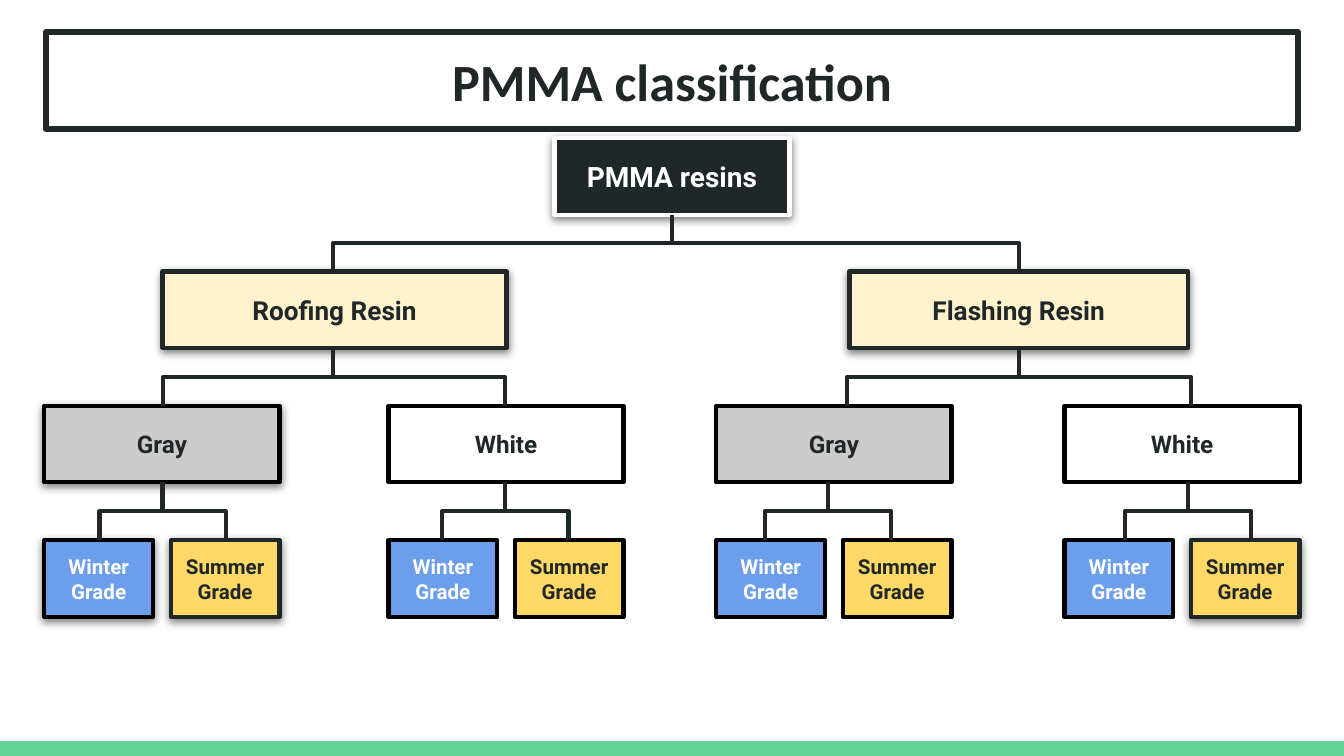
import pptx
import pptx.util
import pptx.dml.color
import pptx.enum.shapes
import pptx.enum.text
from lxml import etree
from pptx.oxml.ns import qn

WIDTH, HEIGHT = 10, 5.625
COLORS = {
    "ink": "202729", "black": "000000", "white": "FFFFFF", "cream": "FFF2CC",
    "gray": "CCCCCC", "blue": "6D9EEB", "yellow": "FFD966", "green": "63D297",
}
ROWS = (1.03, 2.02, 3.02, 4.02)     # tops of the four tree levels
BOX_W, BOX_H = 1.75, 0.57
GRADE_W, GRADE_STEP = 0.81, 0.94
ROOT_X = WIDTH / 2

# Resin: name, left, width, joint x, its colour groups
# Colour group: name, fill, left, upper joint x, lower joint x, raised parts
RESINS = [
    ("Roofing Resin", 1.21, 2.56, 2.48, [
        ("Gray", "gray", 0.33, 1.21, 1.21, {"Gray", "Winter", "Summer"}),
        ("White", "white", 2.89, 3.76, 3.76, set()),
    ]),
    ("Flashing Resin", 6.32, 2.52, 7.58, [
        ("Gray", "gray", 5.33, 6.30, 6.16, set()),
        ("White", "white", 7.92, 8.86, 8.84, {"Summer"}),
    ]),
]


def inches(*values):
    return [pptx.util.Inches(v) for v in values]


def rgb(name):
    return pptx.dml.color.RGBColor.from_string(COLORS[name])


def add_shadow(s):
    effects = s._element.spPr.find(qn("a:effectLst"))
    shadow = etree.SubElement(
        effects, qn("a:outerShdw"), blurRad=str(pptx.util.Pt(4.5)),
        dist=str(pptx.util.Pt(1.5)), dir="5400000", algn="bl", rotWithShape="0")
    color = etree.SubElement(shadow, qn("a:srgbClr"), val=COLORS["black"])
    etree.SubElement(color, qn("a:alpha"), val="50000")


def style_line(line, color, width=2.25):
    line.color.rgb = rgb(color)
    line.width = pptx.util.Pt(width)
    etree.SubElement(line._get_or_add_ln(), qn("a:round"))


def set_text(s, text, size, color="ink", font="Roboto"):
    tf = s.text_frame
    tf.word_wrap = True
    tf.auto_size = pptx.enum.text.MSO_AUTO_SIZE.NONE
    tf.vertical_anchor = pptx.enum.text.MSO_ANCHOR.MIDDLE
    tf.margin_left = tf.margin_right = pptx.util.Inches(0.1)
    tf.margin_top = tf.margin_bottom = pptx.util.Inches(0.1)
    p = tf.paragraphs[0]
    p.alignment = pptx.enum.text.PP_ALIGN.CENTER
    r = p.add_run()
    r.text = text
    r.font.name, r.font.size, r.font.bold = font, pptx.util.Pt(size), True
    r.font.color.rgb = rgb(color)


def add_rect(slide, left, top, width, height, fill):
    s = slide.shapes.add_shape(
        pptx.enum.shapes.MSO_SHAPE.RECTANGLE, *inches(left, top, width, height))
    s.shadow.inherit = False
    s.fill.solid()
    s.fill.fore_color.rgb = rgb(fill)
    s.line.fill.background()
    return s


def add_box(slide, text, left, row, width, fill, size, color="ink",
            line="black", raised=False):
    s = add_rect(slide, left, ROWS[row], width, BOX_H, fill)
    style_line(s.line, line)
    set_text(s, text, size, color)
    if raised:
        add_shadow(s)


def add_branch(slide, x1, x2, row):
    """Elbow from the foot of a box in this row to the top of one below."""
    y1, y2 = ROWS[row] + BOX_H, ROWS[row + 1]
    x, y, dx, dy = (x1 + x2) / 2, (y1 + y2) / 2, x2 - x1, y2 - y1
    # Laid out on its side, then turned a quarter so it leaves downwards
    c = slide.shapes.add_connector(
        pptx.enum.shapes.MSO_CONNECTOR.ELBOW,
        *inches(x - dy / 2, y + dx / 2, x + dy / 2, y - dx / 2))
    c._element.spPr.find(qn("a:xfrm")).set("rot", "5400000")
    style_line(c.line, "ink")
    etree.SubElement(c._element.spPr, qn("a:effectLst"))


def add_title(slide, text):
    s = slide.shapes.title
    s.left, s.top, s.width, s.height = inches(0.34, 0.24, 9.32, 0.72)
    s.fill.solid()
    s.fill.fore_color.rgb = rgb("white")
    style_line(s.line, "ink", 3)
    set_text(s, text, 28, font="Calibri")


def add_group(slide, name, fill, left, joint, raised):
    add_box(slide, name, left, 2, BOX_W, fill, 13, raised=name in raised)
    grades = [("Winter", "blue", "white", "black", -1),
              ("Summer", "yellow", "ink", "ink", 1)]
    for i, (season, color, text_color, raised_line, side) in enumerate(grades):
        up = season in raised
        add_box(slide, f"{season} Grade", left + i * GRADE_STEP, 3, GRADE_W,
                color, 11, text_color, raised_line if up else "black", up)
        add_branch(slide, joint, joint + side * GRADE_STEP / 2, 2)


def main():
    prs = pptx.Presentation()
    prs.slide_width, prs.slide_height = inches(WIDTH, HEIGHT)
    slide = prs.slides.add_slide(prs.slide_layouts[5])

    # Footer band and title
    add_rect(slide, 0, HEIGHT - 0.11, WIDTH, 0.11, "green")
    add_title(slide, "PMMA classification")

    # Classification tree
    add_box(slide, "PMMA resins", ROOT_X - BOX_W / 2, 0, BOX_W, "ink", 15,
            "white", "white", True)
    for resin, left, width, resin_x, groups in RESINS:
        add_box(slide, resin, left, 1, width, "cream", 14, line="ink", raised=True)
        add_branch(slide, ROOT_X, resin_x, 0)
        for name, fill, group_left, upper, lower, raised in groups:
            add_group(slide, name, fill, group_left, lower, raised)
            add_branch(slide, resin_x, upper, 1)

    prs.save("out.pptx")


if __name__ == "__main__":
    main()
